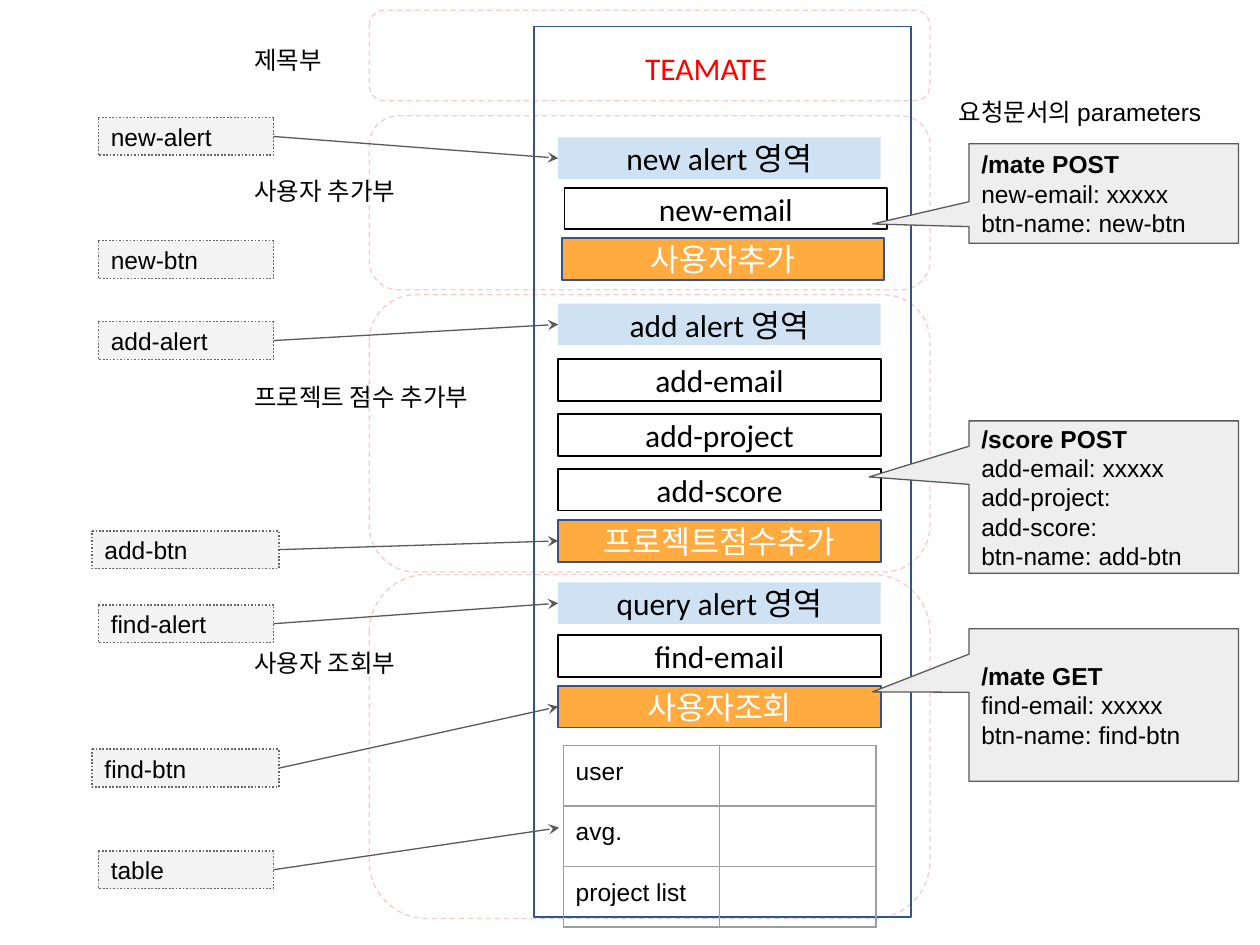
import pptx
import pptx.dml.color
import pptx.enum.dml
import pptx.enum.shapes
import pptx.enum.text
import pptx.oxml
import pptx.oxml.ns
import pptx.util

Pt = pptx.util.Pt
SHAPES = pptx.enum.shapes.MSO_SHAPE
DASHES = pptx.enum.dml.MSO_LINE
ALIGN = pptx.enum.text.PP_ALIGN
ANCHOR = pptx.enum.text.MSO_ANCHOR


def color(value):
    return pptx.dml.color.RGBColor.from_string(value)


def append_xml(parent, tag, content="", **attributes):
    listed = " ".join(f'{name}="{value}"' for name, value in attributes.items())
    parent.append(pptx.oxml.parse_xml(
        f'<a:{tag} {pptx.oxml.ns.nsdecls("a")} {listed}>{content}</a:{tag}>'))


class Wireframe:
    BLACK, GREY, NAVY = "000000", "595959", "31538F"
    ALERT, INPUT, BUTTON = "alert", "input", "button"
    BOX_STYLES = {  # fill, line, text
        ALERT: ("CFE2F3", None, BLACK),
        INPUT: ("FFFFFF", BLACK, BLACK),
        BUTTON: ("FFAB40", NAVY, "FFFFFF"),
    }
    BOX_LEFT, BOX_WIDTH, BOX_HEIGHT = 319, 184.3, 23.8

    def __init__(self, slide):
        self.slide = slide

    def set_text(self, frame, lines, size=14, font="Arial", text_color=BLACK,
                 align=ALIGN.LEFT, anchor=ANCHOR.TOP, inset=7.2, bold_first=False):
        frame.word_wrap = True
        frame.auto_size = pptx.enum.text.MSO_AUTO_SIZE.NONE
        frame.vertical_anchor = anchor
        frame.margin_left = frame.margin_right = Pt(7.2)
        frame.margin_top = frame.margin_bottom = Pt(inset)
        for index, line in enumerate(lines):
            paragraph = frame.add_paragraph() if index else frame.paragraphs[0]
            paragraph.alignment = align
            run = paragraph.add_run()
            run.text = line
            run.font.size = Pt(size)
            run.font.name = font
            run.font.bold = bold_first and index == 0
            run.font.color.rgb = color(text_color)

    def shape(self, kind, left, top, width, height, fill=None, line=None,
              weight=1, dash=None):
        shape = self.slide.shapes.add_shape(
            kind, Pt(left), Pt(top), Pt(width), Pt(height))
        shape.shadow.inherit = False
        if fill:
            shape.fill.solid()
            shape.fill.fore_color.rgb = color(fill)
        else:
            shape.fill.background()
        if line:
            shape.line.color.rgb = color(line)
            shape.line.width = Pt(weight)
            if dash:
                shape.line.dash_style = dash
        else:
            shape.line.fill.background()
        return shape

    def title(self, text, left, top, width, height):
        title = self.slide.shapes.title
        title.left, title.top = Pt(left), Pt(top)
        title.width, title.height = Pt(width), Pt(height)
        self.set_text(title.text_frame, [text], 18, "Calibri", "FF0000", inset=3.6)

    def section(self, top, height):
        section = self.shape(SHAPES.ROUNDED_RECTANGLE, 211, top, 320.4, height,
                             line="F4CCCC", weight=0.75, dash=DASHES.DASH)
        section.adjustments[0] = 0.167

    def label(self, text, left, top, width):
        label = self.slide.shapes.add_textbox(
            Pt(left), Pt(top), Pt(width), Pt(28.8))
        self.set_text(label.text_frame, [text])

    def box(self, style, text, top, shift=0):
        fill, line, text_color = self.BOX_STYLES[style]
        box = self.shape(SHAPES.RECTANGLE, self.BOX_LEFT + shift, top,
                         self.BOX_WIDTH, self.BOX_HEIGHT, fill, line)
        self.set_text(box.text_frame, [text], 18, "Calibri", text_color,
                      ALIGN.CENTER, ANCHOR.MIDDLE, inset=3.6)
        return box

    def callout(self, lines, top, height, tip):
        callout = self.shape(SHAPES.RECTANGULAR_CALLOUT, 553.7, top, 154.1,
                             height, "EEEEEE", self.GREY, 0.75)
        callout.adjustments[0], callout.adjustments[1] = tip
        self.set_text(callout.text_frame, lines, anchor=ANCHOR.MIDDLE,
                      bold_first=True)

    def tag(self, text, top, wide=False):
        left, width = (52.6, 106.6) if wide else (56.2, 100.1)
        tag = self.shape(SHAPES.FLOWCHART_PROCESS, left, top, width, 21.6,
                         "F3F3F3", "666666", dash=DASHES.ROUND_DOT)
        self.set_text(tag.text_frame, [text], anchor=ANCHOR.MIDDLE)
        return tag

    def arrow(self, tag, box=None, end=(0, 0)):
        """Join the right side of a tag to the left side of a box or to a point."""
        arrow = self.slide.shapes.add_connector(
            pptx.enum.shapes.MSO_CONNECTOR.STRAIGHT, 0, 0, Pt(end[0]), Pt(end[1]))
        arrow.begin_connect(tag, 3)
        if box is not None:
            arrow.end_connect(box, 1)
        arrow.line.color.rgb = color(self.GREY)
        arrow.line.width = Pt(0.75)
        properties = arrow.line._get_or_add_ln()
        append_xml(properties, "tailEnd", type="stealth", w="med", len="med")
        append_xml(arrow._element.spPr, "effectLst")

    def table(self, names, left, top, column_width, row_height):
        table = self.slide.shapes.add_table(
            len(names), 2, Pt(left), Pt(top), Pt(2 * column_width),
            Pt(row_height * len(names))).table
        table.first_row = table.horz_banding = False
        for column in table.columns:
            column.width = Pt(column_width)
        for row, name in zip(table.rows, names):
            row.height = Pt(row_height)
            for cell, text in zip(row.cells, (name, "")):
                self.cell(cell, text)

    def cell(self, cell, text):
        cell.margin_left = cell.margin_right = Pt(7.2)
        cell.margin_top = cell.margin_bottom = Pt(7.2)
        if text:
            run = cell.text_frame.paragraphs[0].add_run()
            run.text = text
            run.font.size, run.font.name = Pt(14), "Arial"
            run.font.color.rgb = color(self.BLACK)
        else:
            cell.text_frame.paragraphs[0].font.size = Pt(14)
        properties = cell._tc.get_or_add_tcPr()
        for side in ("lnL", "lnR", "lnT", "lnB"):
            append_xml(properties, side,
                       '<a:solidFill><a:srgbClr val="9E9E9E"/></a:solidFill>',
                       w=Pt(0.75))
        cell.fill.background()


def main():
    presentation = pptx.Presentation()
    presentation.slide_width, presentation.slide_height = Pt(720), Pt(540)
    slide = presentation.slides.add_slide(presentation.slide_layouts[5])
    page = Wireframe(slide)

    for top, height in ((5.8, 51.8), (66.2, 99.4), (168.5, 158.4), (328.3, 196.6)):
        page.section(top, height)
    page.shape(SHAPES.RECTANGLE, 305.3, 15.1, 215.3, 509, line=page.NAVY)
    page.title("TEAMATE", 361.4, 24.5, 96.5, 28.8)

    boxes = {}
    for name, style, text, top, shift in (
            ("new-alert", page.ALERT, "new alert 영역", 78.5, 0),
            ("new-email", page.INPUT, "new-email", 107.3, 3.6),
            ("new-btn", page.BUTTON, "사용자추가", 136.1, 2),
            ("add-alert", page.ALERT, "add alert 영역", 173.5, 0),
            ("add-email", page.INPUT, "add-email", 205.2, 0),
            ("add-project", page.INPUT, "add-project", 236.7, 0),
            ("add-score", page.INPUT, "add-score", 268, 0),
            ("add-btn", page.BUTTON, "프로젝트점수추가", 297.2, 0),
            ("find-alert", page.ALERT, "query alert 영역", 332.8, 0),
            ("find-email", page.INPUT, "find-email", 363, 0),
            ("find-btn", page.BUTTON, "사용자조회", 391.9, 0)):
        boxes[name] = page.box(style, text, top, shift)

    page.table(("user", "avg.", "project list"), 321.8, 426, 89.4, 34.6)

    page.label("요청문서의 parameters", 540.7, 48.2, 179.3)
    for text, top in (("제목부", 18.7), ("사용자 추가부", 93.6),
                      ("프로젝트 점수 추가부", 211), ("사용자 조회부", 362.9)):
        page.label(text, 138.2, top, 167)

    page.callout(("/mate POST", "new-email: xxxxx", "btn-name: new-btn"),
                 82.1, 56.9, (-0.857, 0.307))
    page.callout(("/score POST", "add-email: xxxxx", "add-project:",
                  "add-score:", "btn-name: add-btn"), 240.5, 87.1, (-0.87, -0.132))
    page.callout(("/mate GET", "find-email: xxxxx", "btn-name: find-btn"),
                 359.3, 87.1, (-0.857, -0.086))

    tags = {name: page.tag(name, top, wide=name in ("add-btn", "find-btn"))
            for name, top in (("new-alert", 67.2), ("new-btn", 137.5),
                              ("add-alert", 183.8), ("add-btn", 303.3),
                              ("find-alert", 345.6), ("find-btn", 428.2),
                              ("table", 486.2))}
    for name in ("new-alert", "add-alert", "add-btn", "find-alert", "find-btn"):
        page.arrow(tags[name], boxes[name])
    page.arrow(tags["table"], end=(319.5, 473))

    presentation.save("out.pptx")


if __name__ == "__main__":
    main()
